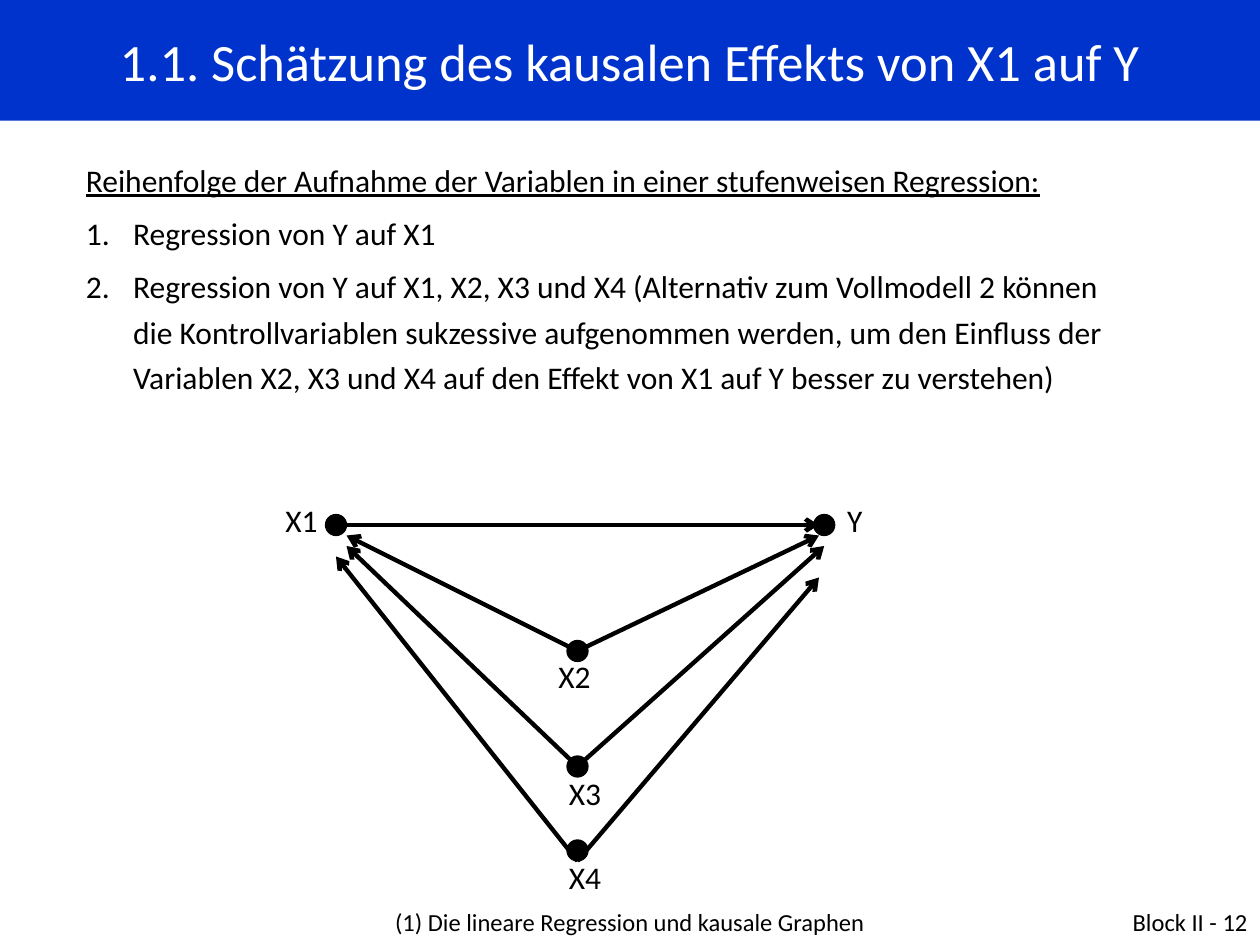
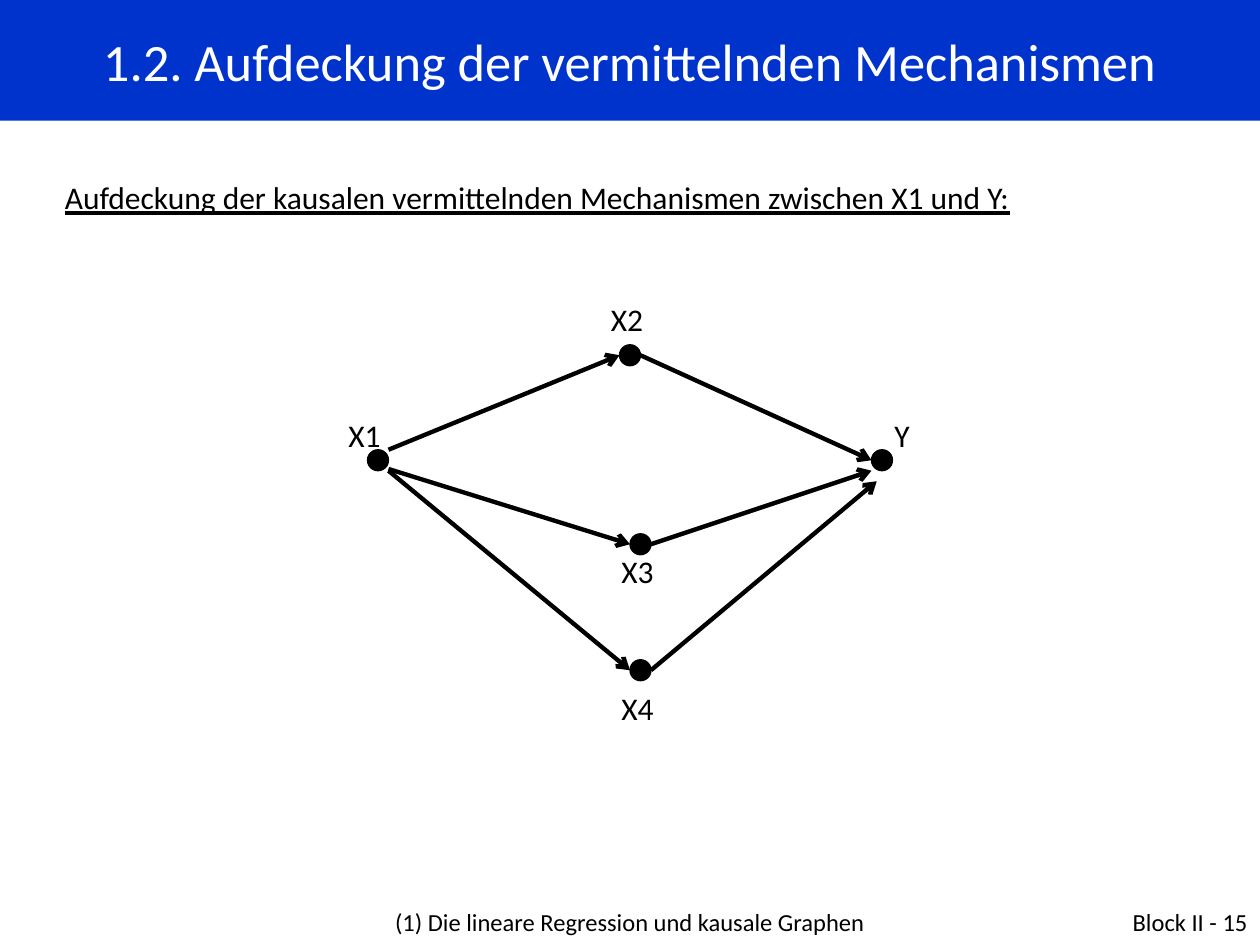
"""Build two slides with causal graphs for regression teaching."""
from lxml import etree
from pptx import Presentation
from pptx.dml.color import RGBColor
from pptx.enum import shapes, text
from pptx.oxml import ns
from pptx.util import Pt

BLUE = RGBColor(0x00, 0x33, 0xCC)
BLACK = RGBColor(0x00, 0x00, 0x00)
WHITE = RGBColor(0xFF, 0xFF, 0xFF)
FONT = "Calibri"
FOOTER = "(1) Die lineare Regression und kausale Graphen"
DOT = 12
LEFT, CENTER, RIGHT = text.PP_ALIGN.LEFT, text.PP_ALIGN.CENTER, text.PP_ALIGN.RIGHT

SLIDES = [
    {
        "title": "1.1. Schätzung des kausalen Effekts von X1 auf Y",
        "number": 12,
        "body_at": (42, 84, 607, 148),
        "heading": "Reihenfolge der Aufnahme der Variablen in einer stufenweisen Regression:",
        "steps": [
            "Regression von Y auf X1",
            "Regression von Y auf X1, X2, X3 und X4 (Alternativ zum Vollmodell 2 können "
            "die Kontrollvariablen sukzessive aufgenommen werden, um den Einfluss der "
            "Variablen X2, X3 und X4 auf den Effekt von X1 auf Y besser zu verstehen)",
        ],
        "nodes": [
            ("X1", (192, 300), (156, 283)),
            ("Y", (471, 300), (477, 283)),
            ("X2", (330, 372), (312, 372)),
            ("X3", (330, 438), (318, 439)),
            ("X4", (330, 486), (318, 487)),
        ],
        "arrows": [
            (192, 300, 468, 300),
            (330, 372, 468, 306),
            (330, 372, 198, 306),
            (330, 438, 471, 312),
            (330, 438, 198, 312),
            (330, 492, 468, 330),
            (330, 492, 192, 318),
        ],
    },
    {
        "title": "1.2. Aufdeckung der vermittelnden Mechanismen",
        "number": 15,
        "body_at": (30, 94, 660, 33),
        "heading": "Aufdeckung der kausalen vermittelnden Mechanismen zwischen X1 und Y:",
        "steps": [],
        "nodes": [
            ("X1", (216, 263), (192, 234)),
            ("Y", (504, 263), (504, 234)),
            ("X2", (360, 203), (342, 168)),
            ("X3", (366, 311), (348, 312)),
            ("X4", (366, 383), (348, 390)),
        ],
        "arrows": [
            (222, 257, 354, 203),
            (366, 203, 498, 263),
            (222, 268, 360, 311),
            (369, 312, 498, 269),
            (222, 269, 360, 383),
            (372, 383, 501, 275),
        ],
    },
]


def style_paragraph(para, size, color=BLACK, align=LEFT):
    para.alignment = align
    for span in para.runs:
        span.font.name = FONT
        span.font.size = Pt(size)
        span.font.color.rgb = color


def add_text(page, place, words, size=18, align=LEFT):
    box = page.shapes.add_textbox(*map(Pt, place))
    box.text_frame.word_wrap = True
    box.text_frame.text = words
    style_paragraph(box.text_frame.paragraphs[0], size, align=align)
    return box


deck = Presentation()
deck.slide_width, deck.slide_height = Pt(720), Pt(540)

for content in SLIDES:
    page = deck.slides.add_slide(deck.slide_layouts[6])

    band = page.shapes.add_shape(shapes.MSO_SHAPE.RECTANGLE, 0, 0, Pt(720), Pt(69))
    band.shadow.inherit = False
    band.fill.solid()
    band.fill.fore_color.rgb = BLUE
    band.line.fill.background()
    band.text_frame.vertical_anchor = text.MSO_ANCHOR.MIDDLE
    band.text_frame.text = content["title"]
    style_paragraph(band.text_frame.paragraphs[0], 30, WHITE, CENTER)

    body = add_text(page, content["body_at"], content["heading"])
    body.text_frame.paragraphs[0].runs[0].font.underline = True
    for step in content["steps"]:
        para = body.text_frame.add_paragraph()
        para.text = step
        style_paragraph(para, 18)
    for para in body.text_frame.paragraphs:
        para.line_spacing = 1.2
        para.space_after = Pt(4.5)
    for para in body.text_frame.paragraphs[1:]:
        properties = para._p.get_or_add_pPr()
        properties.set("marL", str(Pt(27)))
        properties.set("indent", str(-Pt(27)))
        etree.SubElement(properties, ns.qn("a:buFont"), typeface="+mj-lt")
        etree.SubElement(properties, ns.qn("a:buAutoNum"), type="arabicPeriod")

    for ends in content["arrows"]:
        arrow = page.shapes.add_connector(shapes.MSO_CONNECTOR.STRAIGHT, *map(Pt, ends))
        arrow.line.color.rgb = BLACK
        arrow.line.width = Pt(2.5)
        etree.SubElement(arrow.line._get_or_add_ln(), ns.qn("a:tailEnd"), type="arrow")
        etree.SubElement(arrow._element.spPr, ns.qn("a:effectLst"))

    for name, (x, y), label_at in content["nodes"]:
        dot = page.shapes.add_shape(
            shapes.MSO_SHAPE.OVAL, Pt(x - DOT / 2), Pt(y - DOT / 2), Pt(DOT), Pt(DOT)
        )
        dot.shadow.inherit = False
        dot.fill.solid()
        dot.fill.fore_color.rgb = BLACK
        dot.line.color.rgb = BLACK
        dot.line.width = Pt(0.75)
        add_text(page, (*label_at, 40, 29), name)

    add_text(page, (552, 515, 168, 25), f"Block II - {content['number']}", 14, RIGHT)
    add_text(page, (174, 515, 372, 25), FOOTER, 14, CENTER)

deck.save("out.pptx")
